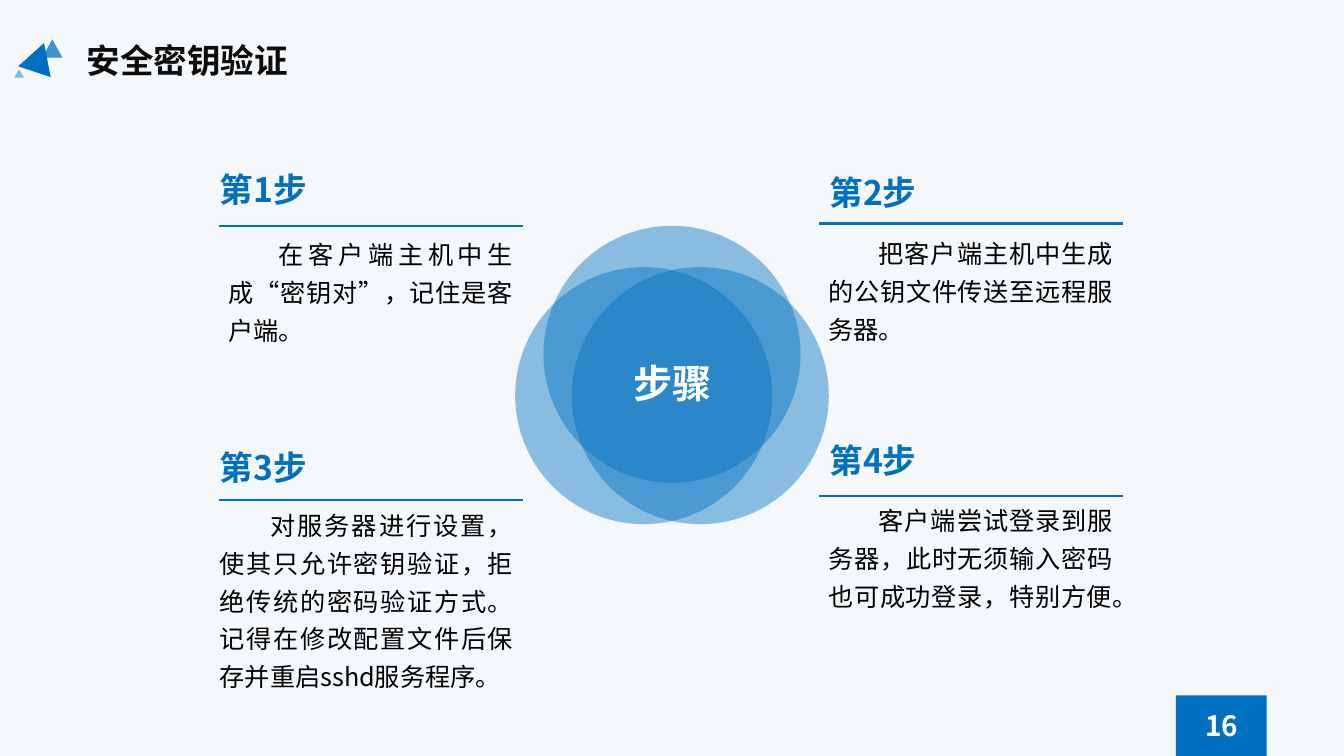
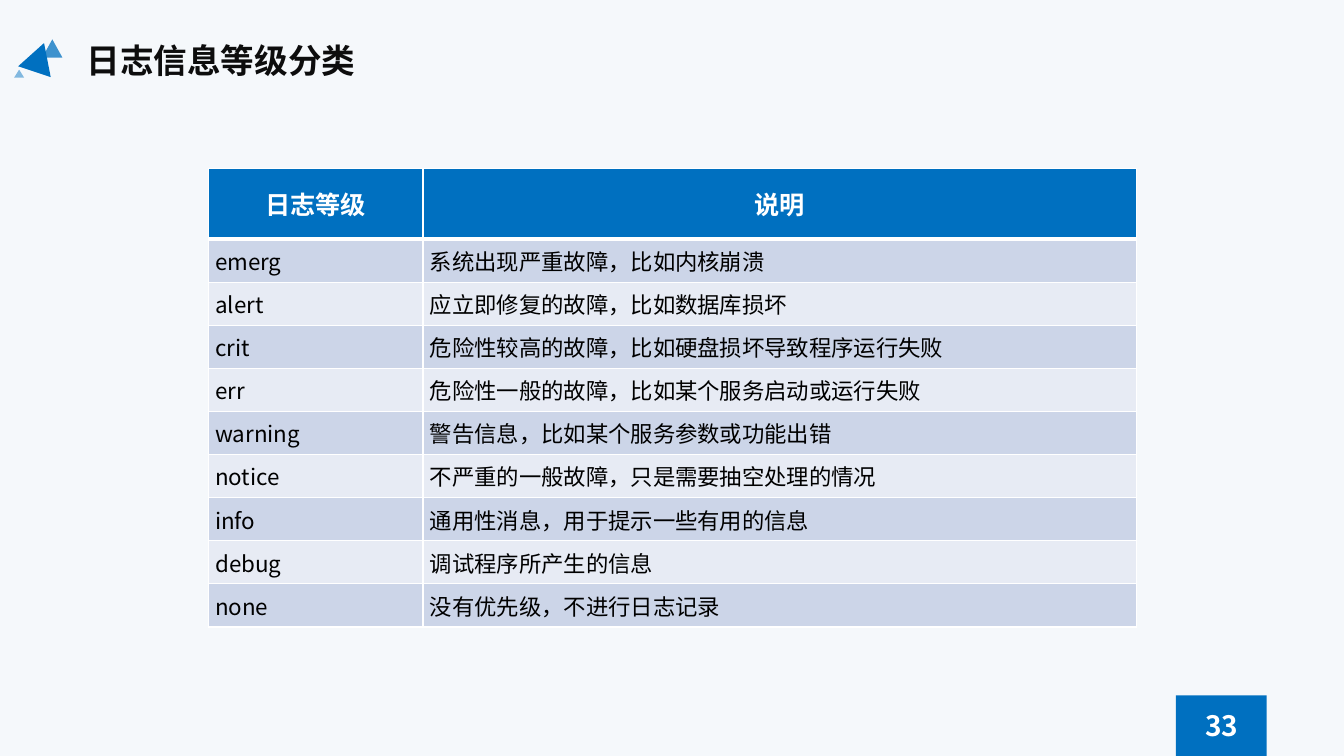
from pptx import Presentation
from pptx.dml.color import RGBColor
from pptx.enum.lang import MSO_LANGUAGE_ID
from pptx.enum.shapes import MSO_CONNECTOR, MSO_SHAPE
from pptx.enum.text import MSO_ANCHOR, MSO_AUTO_SIZE, PP_ALIGN
from pptx.oxml.ns import qn
from pptx.util import Pt
from lxml import etree

FONT = "Noto Sans CJK SC"
BLUE = RGBColor(0x00, 0x70, 0xC0)
WHITE = RGBColor(0xFF, 0xFF, 0xFF)
BLACK = RGBColor(0x00, 0x00, 0x00)
TITLE_INK = RGBColor(0x0D, 0x0D, 0x0D)
BACKGROUND = RGBColor(0xF5, 0xF8, 0xFB)
BAND_DARK = RGBColor(0xCC, 0xD5, 0xE8)
BAND_LIGHT = RGBColor(0xE7, 0xEB, 0xF4)

# Triangles beside the title: left, top, width, height, rotation, opacity %
TITLE_TRIANGLES = [
    (30.2, 28.1, 14.4, 13, 0, 75),
    (15.8, 30.2, 24.5, 21.6, 18.5, 100),
    (10.1, 49.7, 7.2, 5.8, 0, 47),
]

STEPS_TITLE, STEPS_PAGE = "安全密钥验证", 16
HUB_LABEL = "步骤"
# Heading, body, rule (left, top), heading (left, top), body (left, top, width, height)
STEPS = [
    ("第1步", "在客户端主机中生成“密钥对”，记住是客户端。",
     (156.2, 161.3), (149.8, 117.4), (156.2, 162, 217.4, 86.4)),
    ("第2步", "把客户端主机中生成的公钥文件传送至远程服务器。",
     (584.8, 159.8), (585.4, 119.5), (584.6, 161.3, 217.4, 86.4)),
    ("第3步", "对服务器进行设置，使其只允许密钥验证，拒绝传统的密码验证方式。"
     "记得在修改配置文件后保存并重启sshd服务程序。",
     (156.2, 357.1), (149.8, 315.4), (149.8, 355.7, 223.9, 141.1)),
    ("第4步", "客户端尝试登录到服务器，此时无须输入密码也可成功登录，特别方便。",
     (584.8, 354.2), (585.4, 311), (584.6, 352.1, 217.4, 86.4)),
]
RULE_LENGTH = 217.6
CIRCLE_SIZE = 183.6
CIRCLES = [(20.2, 190.8), (0, 161.3), (-20.2, 190.8)]  # offset from centre, top

LEVELS_TITLE, LEVELS_PAGE = "日志信息等级分类", 33
LEVELS_HEADER = ("日志等级", "说明")
LEVELS = [
    ("emerg", "系统出现严重故障，比如内核崩溃"),
    ("alert", "应立即修复的故障，比如数据库损坏"),
    ("crit", "危险性较高的故障，比如硬盘损坏导致程序运行失败"),
    ("err", "危险性一般的故障，比如某个服务启动或运行失败"),
    ("warning", "警告信息，比如某个服务参数或功能出错"),
    ("notice", "不严重的一般故障，只是需要抽空处理的情况"),
    ("info", "通用性消息，用于提示一些有用的信息"),
    ("debug", "调试程序所产生的信息"),
    ("none", "没有优先级，不进行日志记录"),
]
COLUMN_WIDTHS = (153.4, 509.8)
HEADER_HEIGHT, ROW_HEIGHT = 50.4, 30.8


def write(tf, content, size, color, bold=False, align=PP_ALIGN.LEFT):
    tf.text = content
    p = tf.paragraphs[0]
    p.alignment = align
    r = p.runs[0]
    r.font.name = FONT
    r.font.size = Pt(size)
    r.font.bold = bold
    r.font.color.rgb = color
    r.font.language_id = MSO_LANGUAGE_ID.SIMPLIFIED_CHINESE
    etree.SubElement(r.font._element, qn("a:ea"), typeface=FONT)
    return p


def add_text(shapes, box, content, size, color, bold=False, align=PP_ALIGN.LEFT):
    tf = shapes.add_textbox(*map(Pt, box)).text_frame
    tf.word_wrap = True
    tf.auto_size = MSO_AUTO_SIZE.SHAPE_TO_FIT_TEXT
    return write(tf, content, size, color, bold, align)


def add_blue_shape(shapes, kind, box, opacity=100, rotation=0):
    sp = shapes.add_shape(kind, *map(Pt, box))
    sp.shadow.inherit = False
    sp.rotation = rotation
    sp.line.fill.background()
    sp.fill.solid()
    sp.fill.fore_color.rgb = BLUE
    if opacity < 100:
        color = sp._element.spPr.find(qn("a:solidFill"))[0]
        etree.SubElement(color, qn("a:alpha"), val=str(opacity * 1000))


def add_rule(s, left, top):
    line = s.shapes.add_connector(MSO_CONNECTOR.STRAIGHT, Pt(left), Pt(top),
                                  Pt(left + RULE_LENGTH), Pt(top))
    line.line.color.rgb = BLUE
    line.line.width = Pt(1.75)
    etree.SubElement(line._element.spPr, qn("a:effectLst"))


def add_slide(prs, title, page):
    """Add a slide with the shared title, triangles and page badge."""
    s = prs.slides.add_slide(prs.slide_layouts[6])
    add_text(s.shapes, (54.7, 25.2, 466.6, 36), title, 24, TITLE_INK, True)
    triangles = s.shapes.add_group_shape().shapes
    for *box, rotation, opacity in TITLE_TRIANGLES:
        add_blue_shape(triangles, MSO_SHAPE.ISOSCELES_TRIANGLE, box, opacity, rotation)
    badge = s.shapes.add_group_shape().shapes
    add_blue_shape(badge, MSO_SHAPE.RECTANGLE, (840, 496.8, 64.8, 43.2))
    add_text(badge, (849.6, 502.6, 46, 31.7), str(page), 20, WHITE, True, PP_ALIGN.CENTER)
    return s


def build_steps(prs):
    s = add_slide(prs, STEPS_TITLE, STEPS_PAGE)
    for heading, body, rule, heading_at, body_box in STEPS:
        add_rule(s, *rule)
        add_text(s.shapes, (*heading_at, 236.2, 36), heading, 24, BLUE, True)
        p = add_text(s.shapes, body_box, body, 18, BLACK, align=PP_ALIGN.JUSTIFY)
        p.line_spacing = 1.25
        p._p.get_or_add_pPr().set("indent", str(Pt(36)))
    left = (prs.slide_width.pt - CIRCLE_SIZE) / 2
    for offset, top in CIRCLES:
        add_blue_shape(s.shapes, MSO_SHAPE.OVAL,
                       (left + offset, top, CIRCLE_SIZE, CIRCLE_SIZE), 44)
    add_text(s.shapes, (426.2, 253.4, 108, 41), HUB_LABEL, 28, WHITE, True, PP_ALIGN.CENTER)


def set_borders(cell, **widths):
    """Draw white cell borders; widths are points by side: L, R, T, B."""
    tcPr = cell._tc.get_or_add_tcPr()
    for side, width in widths.items():
        ln = etree.SubElement(tcPr, qn("a:ln" + side), w=str(Pt(width)))
        fill = etree.SubElement(ln, qn("a:solidFill"))
        etree.SubElement(fill, qn("a:srgbClr"), val=str(WHITE))


def build_levels(prs):
    s = add_slide(prs, LEVELS_TITLE, LEVELS_PAGE)
    rows = [LEVELS_HEADER, *LEVELS]
    heights = [HEADER_HEIGHT] + [ROW_HEIGHT] * len(LEVELS)
    table = s.shapes.add_table(len(rows), len(COLUMN_WIDTHS), Pt(148.7), Pt(120.4),
                               Pt(sum(COLUMN_WIDTHS)), Pt(sum(heights))).table
    for column, width in zip(table.columns, COLUMN_WIDTHS):
        column.width = Pt(width)
    for i, (row, height) in enumerate(zip(rows, heights)):
        table.rows[i].height = Pt(height)
        for j, content in enumerate(row):
            cell = table.cell(i, j)
            cell.margin_left = cell.margin_right = Pt(5)
            cell.margin_top = cell.margin_bottom = 0
            cell.vertical_anchor = MSO_ANCHOR.MIDDLE
            set_borders(cell, L=1, R=1, T=3 if i == 1 else 1, B=3 if i == 0 else 1)
            cell.fill.solid()
            if i == 0:
                cell.fill.fore_color.rgb = BLUE
                write(cell.text_frame, content, 18, WHITE, True, PP_ALIGN.CENTER)
            else:
                cell.fill.fore_color.rgb = BAND_DARK if i % 2 else BAND_LIGHT
                write(cell.text_frame, content, 16, BLACK, align=PP_ALIGN.JUSTIFY)


def main():
    prs = Presentation()
    prs.slide_width, prs.slide_height = Pt(960), Pt(540)
    background = prs.slide_master.background.fill
    background.solid()
    background.fore_color.rgb = BACKGROUND
    build_steps(prs)
    build_levels(prs)
    prs.save("out.pptx")


if __name__ == "__main__":
    main()
